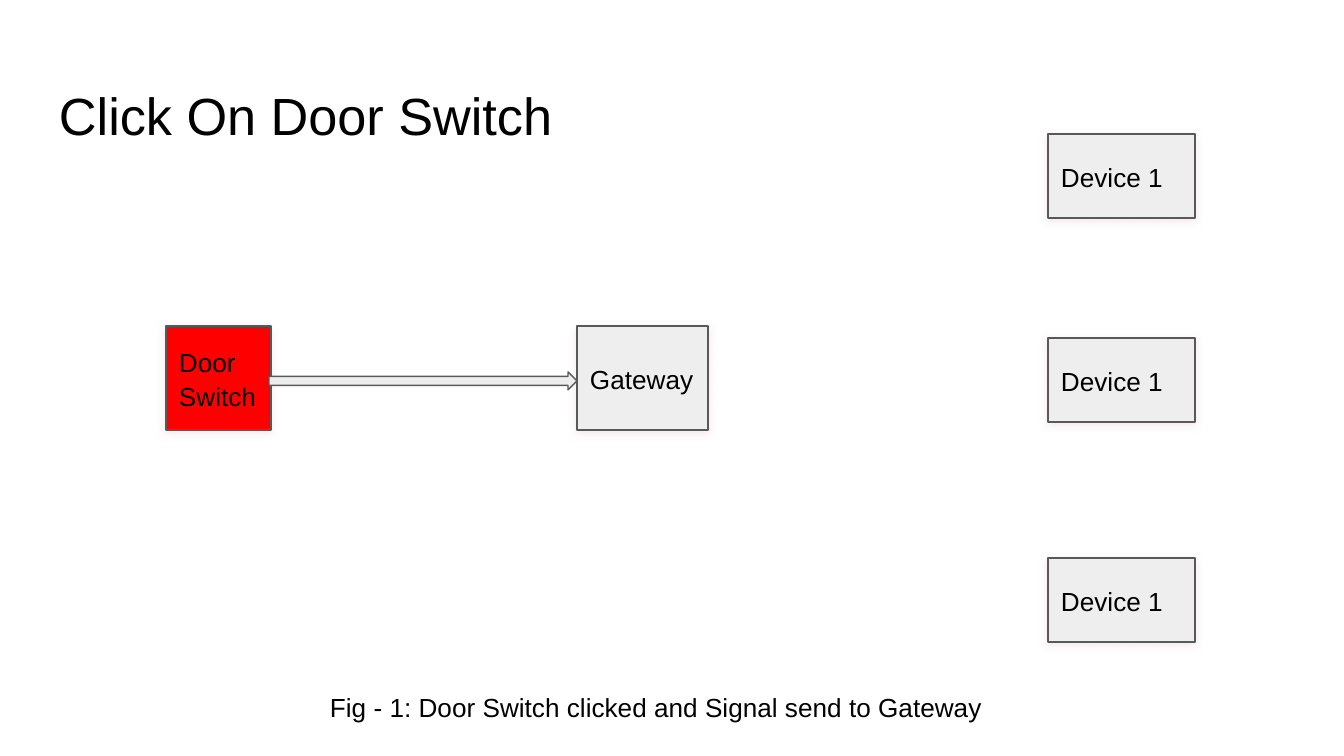
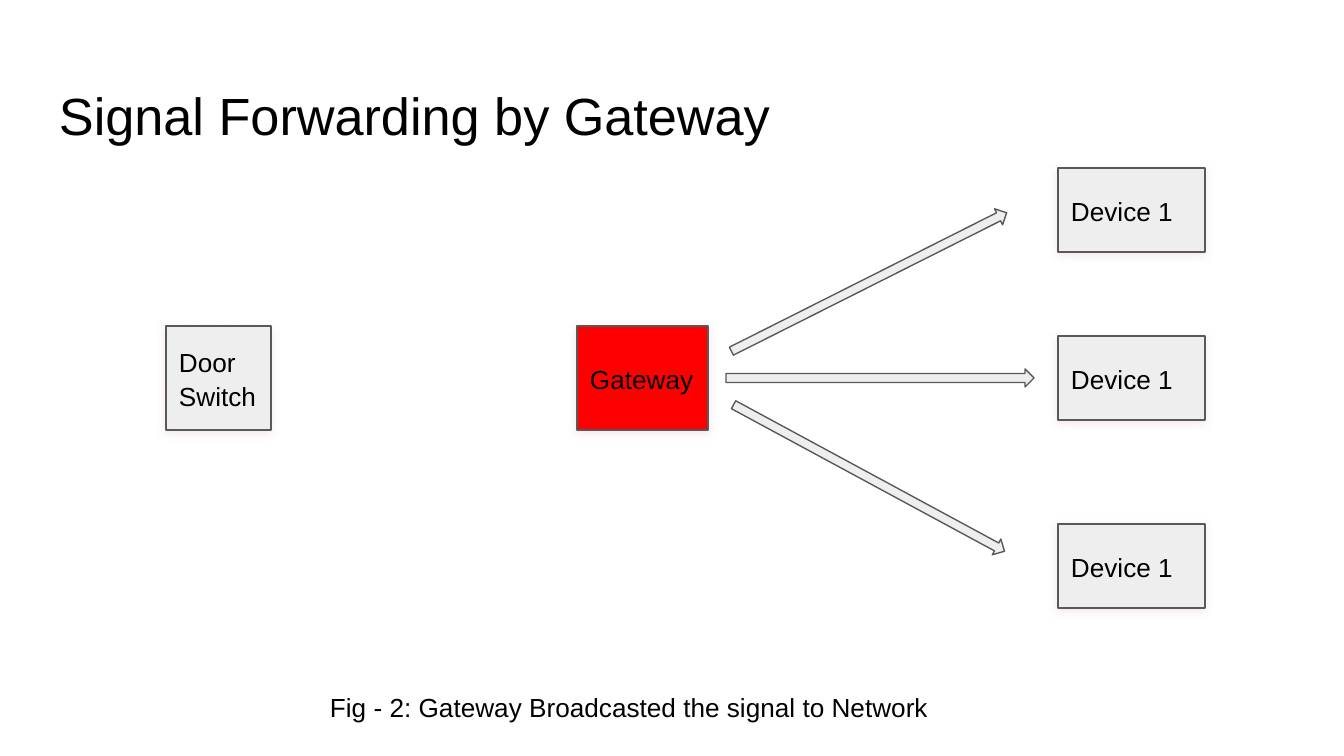
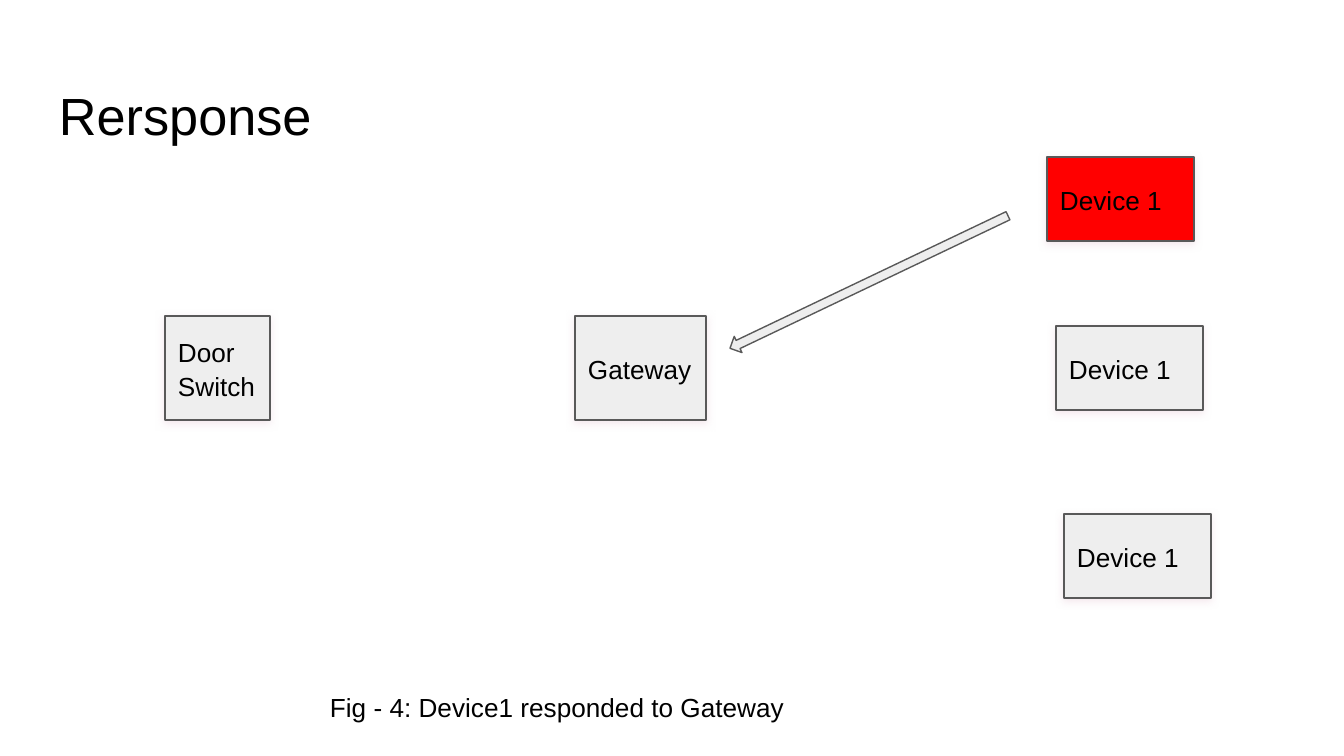
from dataclasses import dataclass
from lxml import etree
from pptx import Presentation
from pptx.dml.color import RGBColor
from pptx.enum.shapes import MSO_SHAPE
from pptx.enum.text import MSO_ANCHOR, PP_ALIGN
from pptx.oxml.ns import qn
from pptx.util import Pt

RECT = MSO_SHAPE.RECTANGLE
ARROW = MSO_SHAPE.RIGHT_ARROW
MIDDLE = MSO_ANCHOR.MIDDLE
TOP = MSO_ANCHOR.TOP
LEFT = PP_ALIGN.LEFT
SCALE = 914400 / 134.4


@dataclass
class Theme:
    font: str = "Arial"
    ink: str = "000000"
    idle: str = "EEEEEE"
    live: str = "FF0000"
    edge: str = "595959"
    shade: str = "EAD1DC"
    head: int = 28
    body: int = 14
    line: float = 0.75
    lead: float = 1.07
    inset: int = 13


theme = Theme()


def write(shape, text, size, anchor):
    frame = shape.text_frame
    frame.word_wrap = True
    frame.vertical_anchor = anchor
    pad = round(theme.inset * SCALE)
    frame.margin_left = frame.margin_right = pad
    frame.margin_top = frame.margin_bottom = pad
    para = frame.paragraphs[0]
    para.text = text
    para.alignment = LEFT
    para.line_spacing = theme.lead
    para.font.name = theme.font
    para.font.size = Pt(size)
    para.font.color.rgb = RGBColor.from_string(theme.ink)


def draw(slide, kind, area, fill):
    shape = slide.shapes.add_shape(kind, *[round(n * SCALE) for n in area])
    shape.shadow.inherit = False
    shape.fill.solid()
    shape.fill.fore_color.rgb = RGBColor.from_string(fill)
    shape.line.color.rgb = RGBColor.from_string(theme.edge)
    shape.line.width = Pt(theme.line)
    return shape


TITLE = (46, 66, 1252, 84)
NOTE = (317, 676, 710, 54)
SIZES = {"Door Switch": (105, 104), "Gateway": (131, 104), "Device 1": (147, 84)}
SHAFT = (308, 18)

scenes = [
    dict(
        title="Click On Door Switch",
        note="Fig - 1: Door Switch clicked and Signal send to Gateway",
        live=0,
        spots=[(166, 326), (577, 326), (1048, 134), (1048, 338), (1048, 558)],
        arrows=[(269, 372, 0)],
    ),
    dict(
        title="Signal Forwarding by Gateway",
        note="Fig - 2: Gateway Broadcasted the signal to Network",
        live=1,
        spots=[(166, 326), (577, 326), (1058, 168), (1058, 336), (1058, 524)],
        arrows=[(726, 369, 0), (715, 273, 333.3), (715, 469, 28.4)],
    ),
    dict(
        title="Rersponse",
        note="Fig - 4: Device1 responded to Gateway",
        live=2,
        spots=[(165, 316), (575, 316), (1047, 157), (1056, 326), (1064, 514)],
        arrows=[(715, 273, 154.5)],
    ),
]
names = ["Door Switch", "Gateway"] + ["Device 1"] * 3

deck = Presentation()
deck.slide_width = round(1344 * SCALE)
deck.slide_height = round(756 * SCALE)

for scene in scenes:
    slide = deck.slides.add_slide(deck.slide_layouts[6])
    for area, text, size in [
        (TITLE, scene["title"], theme.head),
        (NOTE, scene["note"], theme.body),
    ]:
        box = slide.shapes.add_textbox(*[round(n * SCALE) for n in area])
        write(box, text, size, TOP)

    for i, (name, spot) in enumerate(zip(names, scene["spots"])):
        fill = theme.live if i == scene["live"] else theme.idle
        node = draw(slide, RECT, spot + SIZES[name], fill)
        write(node, name, theme.body, MIDDLE)
        glow = etree.SubElement(
            node.element.spPr.find(qn("a:effectLst")),
            qn("a:outerShdw"),
            blurRad=str(Pt(4.5)),
            dist=str(Pt(1.5)),
            dir="5400000",
            algn="bl",
            rotWithShape="0",
        )
        tint = etree.SubElement(glow, qn("a:srgbClr"), val=theme.shade)
        etree.SubElement(tint, qn("a:alpha"), val="50000")

    for x, y, turn in scene["arrows"]:
        arrow = draw(slide, ARROW, (x, y) + SHAFT, theme.idle)
        arrow.rotation = turn

deck.save("out.pptx")
